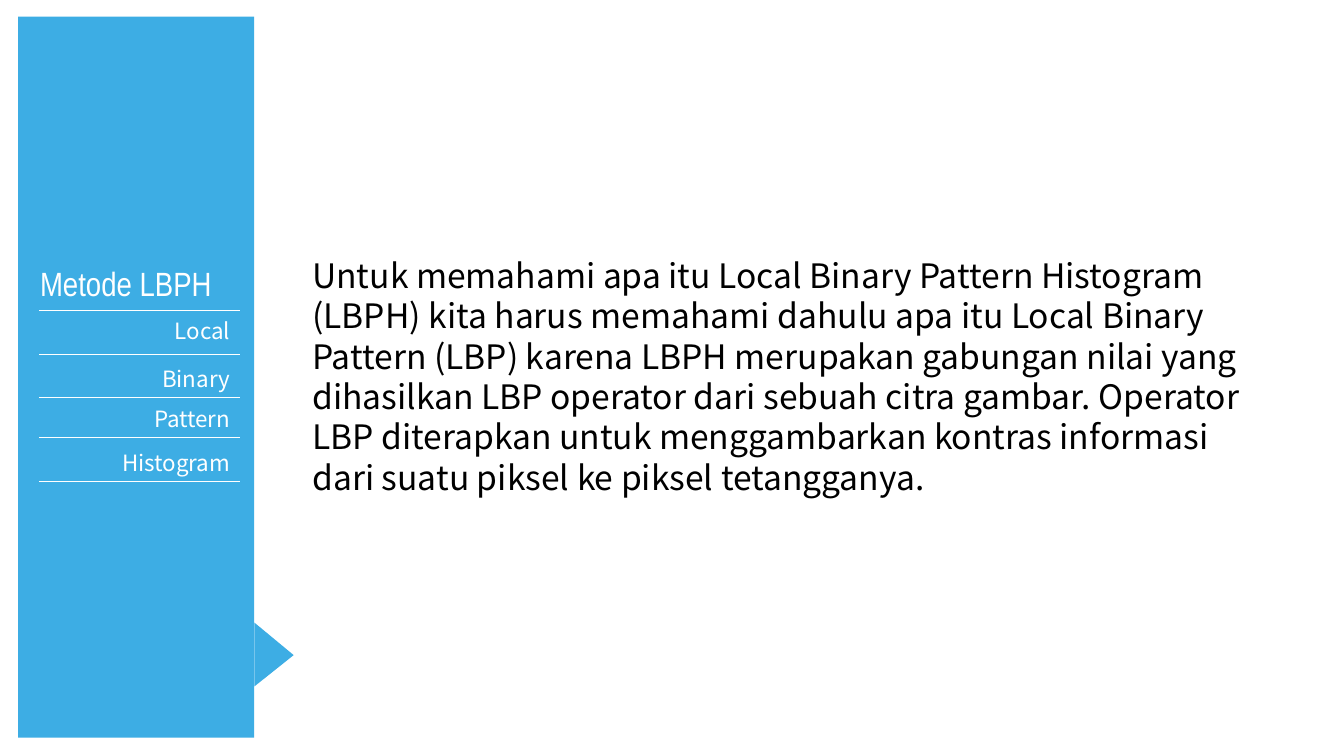
from pptx import Presentation
from pptx.dml.color import RGBColor
from pptx.enum.shapes import MSO_CONNECTOR as CONNECTOR, MSO_SHAPE as SHAPE
from pptx.enum.text import MSO_AUTO_SIZE as AUTO_SIZE, PP_ALIGN as ALIGN
from pptx.oxml.ns import qn
from pptx.util import Pt

BLUE, WHITE, BLACK = "3DADE4", "FFFFFF", "000000"
HEADING_FONT, BODY_FONT = "Arial Narrow", "Noto Sans CJK KR"
MENU_LEFT, MENU_RIGHT = 28, 171.5

# Word, top of its text, height of the rule below it
MENU = [
    ("Local", 223, 253),
    ("Binary", 257.5, 284),
    ("Pattern", 286, 312.5),
    ("Histogram", 317, 343.5),
]
EXPLANATION = (
    "Untuk memahami apa itu Local Binary Pattern Histogram (LBPH) kita harus "
    "memahami dahulu apa itu Local Binary Pattern (LBP) karena LBPH merupakan "
    "gabungan nilai yang dihasilkan LBP operator dari sebuah citra gambar. "
    "Operator LBP diterapkan untuk menggambarkan kontras informasi dari suatu "
    "piksel ke piksel tetangganya."
)


def color(hex_value):
    return RGBColor.from_string(hex_value)


def add_block(slide, kind, left, top, width, height):
    block = slide.shapes.add_shape(kind, Pt(left), Pt(top), Pt(width), Pt(height))
    block.shadow.inherit = False
    block.fill.solid()
    block.fill.fore_color.rgb = color(BLUE)
    block.line.fill.background()
    return block


def add_rule(slide, height):
    rule = slide.shapes.add_connector(
        CONNECTOR.STRAIGHT, Pt(MENU_LEFT), Pt(height), Pt(MENU_RIGHT), Pt(height))
    rule.line.color.rgb = color(WHITE)
    rule.line.width = Pt(0.5)
    properties = rule.line._get_or_add_ln().getparent()
    properties.append(properties.makeelement(qn("a:effectLst"), {}))


def add_text(slide, words, left, top, width, height, size, font, ink, align=ALIGN.LEFT):
    box = slide.shapes.add_textbox(Pt(left), Pt(top), Pt(width), Pt(height))
    frame = box.text_frame
    frame.word_wrap = True
    frame.auto_size = AUTO_SIZE.SHAPE_TO_FIT_TEXT
    paragraph = frame.paragraphs[0]
    paragraph.alignment = align
    run = paragraph.add_run()
    run.text = words
    run.font.size = Pt(size)
    run.font.name = font
    run.font.color.rgb = color(ink)


def add_sidebar(slide):
    add_block(slide, SHAPE.RECTANGLE, 13, 12, 168.5, 515)
    pointer = add_block(slide, SHAPE.ISOSCELES_TRIANGLE, 173, 453.5, 45.5, 28)
    pointer.rotation = 90
    pointer.adjustments[0] = 0.51


def add_menu(slide):
    add_text(slide, "Metode LBPH", 21.5, 184.5, 142.5, 36, 24, HEADING_FONT, WHITE)
    add_rule(slide, 221.5)
    for word, top, rule_height in MENU:
        add_text(slide, word, MENU_LEFT, top, MENU_RIGHT - MENU_LEFT, 26.5,
                 16, BODY_FONT, WHITE, ALIGN.RIGHT)
        add_rule(slide, rule_height)


def main():
    deck = Presentation()
    deck.slide_width, deck.slide_height = Pt(960), Pt(540)
    slide = deck.slides.add_slide(deck.slide_layouts[6])
    add_sidebar(slide)
    add_menu(slide)
    add_text(slide, EXPLANATION, 216, 178.5, 679, 181.5, 24, BODY_FONT, BLACK)
    deck.save("out.pptx")


if __name__ == "__main__":
    main()
